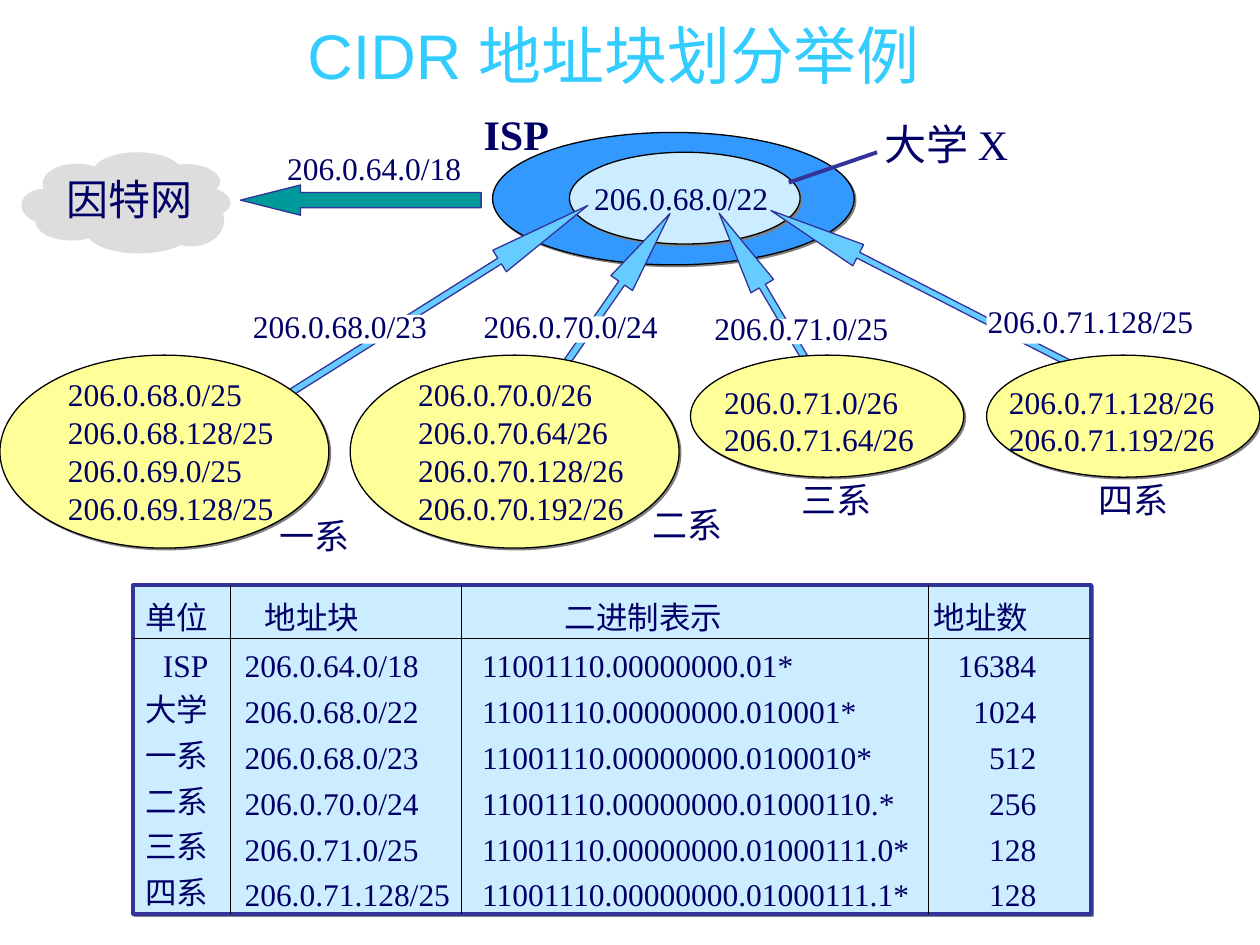
from dataclasses import dataclass
from typing import Any, NamedTuple

from lxml.etree import SubElement
from pptx import Presentation
from pptx.dml.color import RGBColor
from pptx.enum.shapes import MSO_CONNECTOR, MSO_SHAPE
from pptx.enum.text import MSO_ANCHOR, MSO_AUTO_SIZE, PP_ALIGN
from pptx.oxml import parse_xml
from pptx.oxml.ns import nsdecls, qn
from pptx.util import Cm, Pt


@dataclass(frozen=True)
class Theme:
    title: str = "33CCFF"
    ink: str = "000066"
    line: str = "333399"
    black: str = "000000"
    white: str = "FFFFFF"
    shadow: str = "808080"
    cloud: str = "DDDDDD"
    isp: str = "3399FF"
    pale: str = "CCECFF"
    dept: str = "FFFF99"
    uplink: str = "009999"
    route: str = "66CCFF"
    head_font: str = "Arial"
    body_font: str = "Times New Roman"
    title_size: int = 36
    big: int = 24
    mid: int = 20
    small: int = 18
    thin: float = 0.75
    thick: float = 2.25


class Box(NamedTuple):
    x: float
    y: float
    w: float
    h: float


class Dept(NamedTuple):
    name: str
    name_box: Box
    oval: Box
    blocks: tuple[str, ...]
    list_box: Box
    arrow: Box
    angle: float
    head: float
    route: str
    mask: Box
    route_box: Box


class Column(NamedTuple):
    width: float
    align: PP_ALIGN
    left: float
    right: float
    head_left: float


T = Theme()
LABEL_SLACK = 0.12
DEPTS = (
    Dept("四系", Box(21.89, 9.53, 1.9, 1.12), Box(19.89, 7.16, 5.51, 2.46),
         ("206.0.71.128/26", "206.0.71.192/26"), Box(20.09, 7.59, 4.65, 1.78),
         Box(15.16, 5.59, 6.96, 0.48), 27.1, 4.12,
         "206.0.71.128/25", Box(19.89, 6.35, 4.39, 0.58), Box(19.66, 5.97, 4.65, 1.02)),
    Dept("一系", Box(5.38, 10.24, 1.9, 1.12), Box(0, 7.16, 6.63, 3.89),
         ("206.0.68.0/25", "206.0.68.128/25", "206.0.69.0/25", "206.0.69.128/25"),
         Box(1.12, 7.44, 4.65, 3.3), Box(4.98, 5.87, 7.44, 0.51), 147.8, 4.12,
         "206.0.68.0/23", Box(5.08, 6.35, 3.73, 0.58), Box(4.85, 6.07, 4.01, 1.02)),
    Dept("二系", Box(12.9, 10.03, 1.9, 1.12), Box(7.06, 7.16, 6.63, 3.89),
         ("206.0.70.0/26", "206.0.70.64/26", "206.0.70.128/26", "206.0.70.192/26"),
         Box(8.18, 7.44, 4.65, 3.3), Box(8.84, 6.48, 5.94, 0.53), 124.8, 3.22,
         "206.0.70.0/24", Box(9.73, 6.38, 3.76, 0.53), Box(9.5, 6.07, 4.01, 1.02)),
    Dept("三系", Box(15.9, 9.53, 1.9, 1.12), Box(13.92, 7.16, 5.51, 2.46),
         ("206.0.71.0/26", "206.0.71.64/26"), Box(14.35, 7.59, 4.32, 1.78),
         Box(13.03, 6.6, 5.97, 0.53), 59.4, 3.23,
         "206.0.71.0/25", Box(14.35, 6.43, 3.73, 0.51), Box(14.15, 6.1, 4.01, 1.02)),
)
PUFFS = (
    Box(1.9, 3.1, 1.8, 0.81), Box(0.89, 3.33, 1.37, 0.81), Box(0.46, 3.84, 0.91, 0.66),
    Box(0.74, 4.14, 1.4, 0.71), Box(1.75, 4.25, 2.11, 0.86), Box(3.12, 3.34, 1.32, 0.64),
    Box(3.33, 3.77, 1.32, 0.64), Box(3.2, 3.9, 1.32, 1.07), Box(1.22, 3.59, 2.72, 1.07),
)
TABLE_BOX = Box(2.69, 11.79, 19.3, 6.63)
HEAD_HEIGHT = 1.09
COLUMNS = (
    Column(1.96, PP_ALIGN.RIGHT, 0, 0.45, 0),
    Column(4.65, PP_ALIGN.LEFT, 0.28, 0, 0.69),
    Column(9.42, PP_ALIGN.LEFT, 0.42, 0, 2.08),
    Column(3.27, PP_ALIGN.RIGHT, 0, 1.1, 0.1),
)
ROWS = (
    ("单位", "地址块", "二进制表示", "地址数"),
    ("ISP", "206.0.64.0/18", "11001110.00000000.01*", "16384"),
    ("大学", "206.0.68.0/22", "11001110.00000000.010001*", "1024"),
    ("一系", "206.0.68.0/23", "11001110.00000000.0100010*", "512"),
    ("二系", "206.0.70.0/24", "11001110.00000000.01000110.*", "256"),
    ("三系", "206.0.71.0/25", "11001110.00000000.01000111.0*", "128"),
    ("四系", "206.0.71.128/25", "11001110.00000000.01000111.1*", "128"),
)


def put(obj: Any, **values: Any) -> None:
    for key, value in values.items():
        setattr(obj, key, value)


def lengths(box: Box) -> list[Cm]:
    return [Cm(v) for v in box]


def write(p: Any, text: str, size: int, color: str = T.ink,
          font: str = T.body_font, bold: bool = False) -> None:
    r = p.add_run()
    r.text = text
    put(r.font, name=font, size=Pt(size), bold=bold)
    r.font.color.rgb = RGBColor.from_string(color)


def shape(shapes: Any, kind: MSO_SHAPE, box: Box, fill: str, line: str = "",
          width: float = T.thin, shadow: bool = False) -> Any:
    sp = shapes.add_shape(kind, *lengths(box))
    sp.shadow.inherit = False
    sp.fill.solid()
    sp.fill.fore_color.rgb = RGBColor.from_string(fill)
    if line:
        sp.line.color.rgb = RGBColor.from_string(line)
        sp.line.width = Pt(width)
    else:
        sp.line.fill.background()
    if shadow:
        effects = sp._element.spPr.find(qn("a:effectLst"))
        outer = SubElement(effects, qn("a:outerShdw"), dist="17780", dir="2700000",
                           algn="ctr", rotWithShape="0")
        SubElement(outer, qn("a:srgbClr"), val=T.shadow)
    return sp


def arrow(shapes: Any, box: Box, fill: str, shaft: float, head: float,
          angle: float = 0) -> None:
    sp = shape(shapes, MSO_SHAPE.LEFT_ARROW, box, fill, T.line)
    sp.rotation = angle
    sp.adjustments[0], sp.adjustments[1] = shaft, head


def label(shapes: Any, box: Box, lines: tuple[str, ...], size: int = T.small,
          bold: bool = False) -> None:
    tf = shapes.add_textbox(*lengths(box._replace(w=box.w + LABEL_SLACK))).text_frame
    put(tf, word_wrap=False, auto_size=MSO_AUTO_SIZE.SHAPE_TO_FIT_TEXT)
    for i, text in enumerate(lines):
        write(tf.add_paragraph() if i else tf.paragraphs[0], text, size, bold=bold)


def department(shapes: Any, d: Dept) -> None:
    arrow(shapes, d.arrow, T.route, 0.27, d.head, d.angle)
    shape(shapes, MSO_SHAPE.OVAL, d.oval, T.dept, T.black, shadow=True)
    label(shapes, d.list_box, d.blocks)
    shape(shapes, MSO_SHAPE.RECTANGLE, d.mask, T.white)
    label(shapes, d.route_box, (d.route,))


def borders(cell: Any, visible: dict[str, bool]) -> None:
    for i, (side, shown) in enumerate(visible.items()):
        paint = f'<a:solidFill><a:srgbClr val="{T.black}"/></a:solidFill>' if shown else "<a:noFill/>"
        cell._tc.get_or_add_tcPr().insert(
            i, parse_xml(f'<a:{side} {nsdecls("a")} w="{Pt(T.thin)}">{paint}</a:{side}>'))


def address_table(shapes: Any) -> None:
    shape(shapes, MSO_SHAPE.RECTANGLE, TABLE_BOX, T.pale, T.line, T.thick, True)
    table = shapes.add_table(len(ROWS), len(COLUMNS), *lengths(TABLE_BOX)).table
    put(table, first_row=False, horz_banding=False)
    body_height = (TABLE_BOX.h - HEAD_HEIGHT) / (len(ROWS) - 1)
    for i, row in enumerate(ROWS):
        table.rows[i].height = Cm(body_height if i else HEAD_HEIGHT)
        for j, (text, col) in enumerate(zip(row, COLUMNS)):
            table.columns[j].width = Cm(col.width)
            cell = table.cell(i, j)
            put(cell, margin_left=Cm(col.left if i else col.head_left),
                margin_right=Cm(col.right if i or j == 0 else 0),
                margin_top=0, margin_bottom=0, vertical_anchor=MSO_ANCHOR.BOTTOM)
            cell.fill.background()
            borders(cell, {"lnL": j > 0, "lnR": j < len(COLUMNS) - 1,
                           "lnT": i == 1, "lnB": i == 0})
            p = cell.text_frame.paragraphs[0]
            p.alignment = col.align if i or j == 0 else PP_ALIGN.LEFT
            write(p, text, T.small)


def main() -> None:
    prs = Presentation()
    put(prs, slide_width=Cm(25.4), slide_height=Cm(19.05))
    s = prs.slides.add_slide(prs.slide_layouts[5])
    title = s.shapes.title
    put(title, **dict(zip(("left", "top", "width", "height"),
                          lengths(Box(1.55, 0.13, 21.64, 1.93)))))
    title.text_frame.vertical_anchor = MSO_ANCHOR.MIDDLE
    p = title.text_frame.paragraphs[0]
    p.alignment = PP_ALIGN.CENTER
    write(p, "CIDR 地址块划分举例", T.title_size, T.title, T.head_font)

    cloud = s.shapes.add_group_shape()
    for shift in (0, -0.03):
        for puff in PUFFS:
            shape(cloud.shapes, MSO_SHAPE.OVAL,
                  puff._replace(x=puff.x + shift, y=puff.y + shift), T.cloud)
    label(s.shapes, Box(1.09, 3.38, 3.05, 1.27), ("因特网",), T.big)

    for box, fill in ((Box(9.93, 2.67, 7.29, 2.67), T.isp),
                      (Box(11.48, 3.07, 4.65, 1.85), T.pale)):
        shape(s.shapes, MSO_SHAPE.OVAL, box, fill, T.black, shadow=True)
    label(s.shapes, Box(11.73, 3.48, 4.01, 1.02), ("206.0.68.0/22",))
    label(s.shapes, Box(5.54, 2.87, 4.01, 1.02), ("206.0.64.0/18",))
    arrow(s.shapes, Box(4.85, 3.73, 4.85, 0.61), T.uplink, 0.5, 1.98)
    label(s.shapes, Box(9.5, 2.06, 1.83, 1.27), ("ISP",), T.big, True)
    label(s.shapes, Box(17.58, 2.26, 3.2, 1.27), ("大学 X",), T.big)
    pointer = s.shapes.add_connector(MSO_CONNECTOR.STRAIGHT,
                                     *lengths(Box(15.9, 3.68, 17.68, 3.07)))
    pointer.line.color.rgb = RGBColor.from_string(T.line)
    pointer.line.width = Pt(T.thick)
    SubElement(pointer._element.spPr, qn("a:effectLst"))

    for d in DEPTS:
        department(s.shapes, d)
    for d in DEPTS:
        label(s.shapes, d.name_box, (d.name,), T.mid)
    address_table(s.shapes)
    prs.save("out.pptx")


if __name__ == "__main__":
    main()
